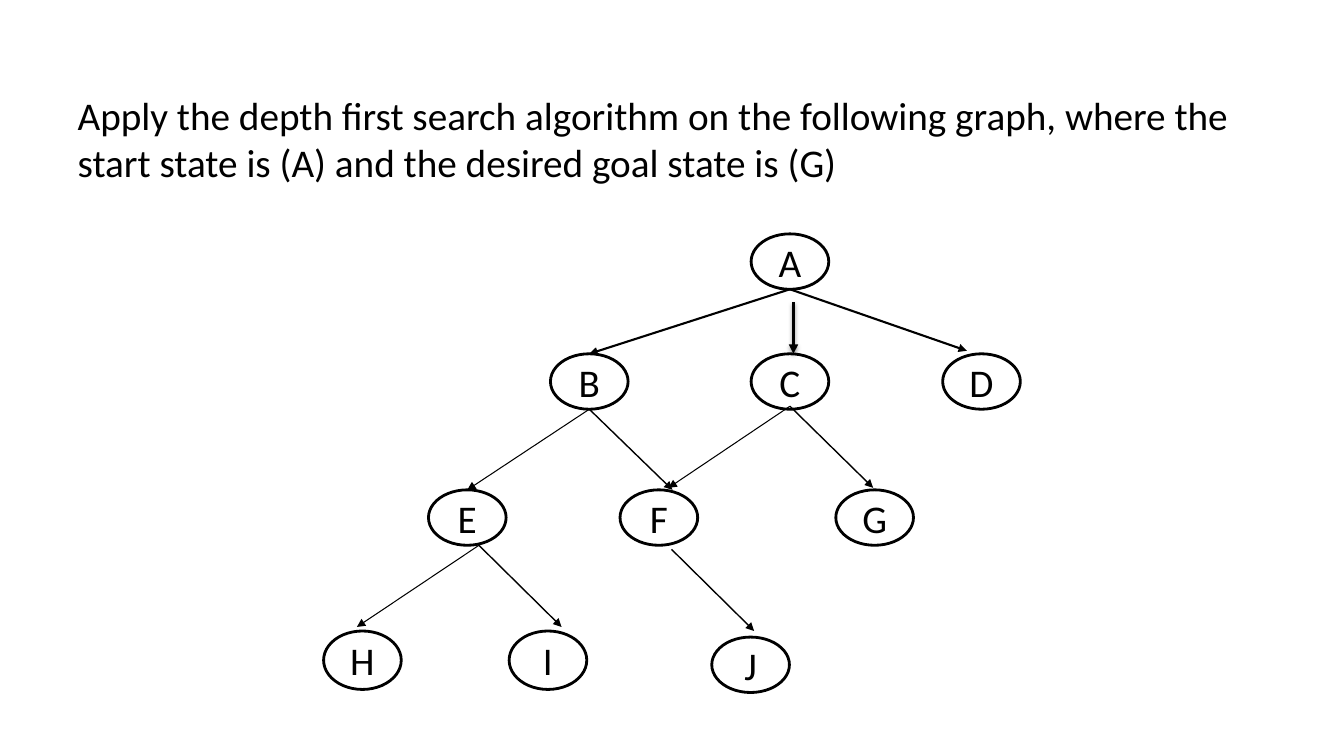
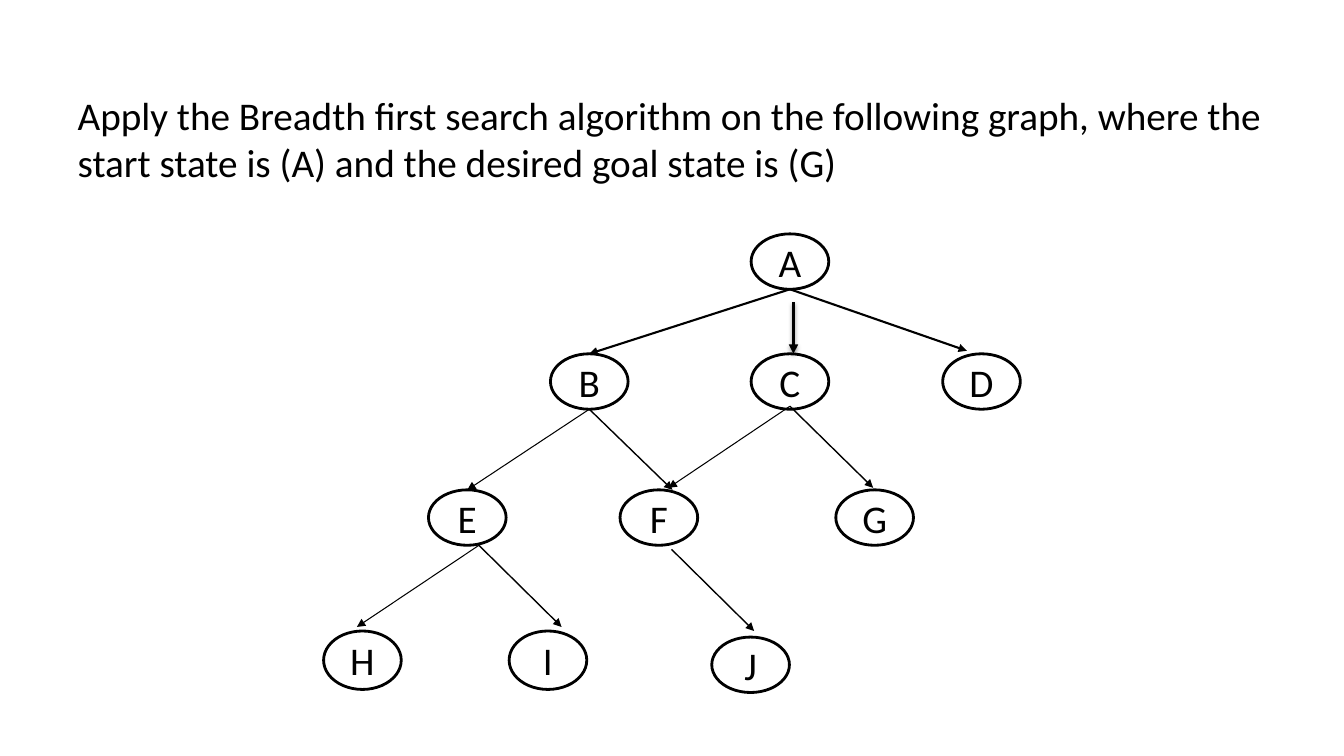
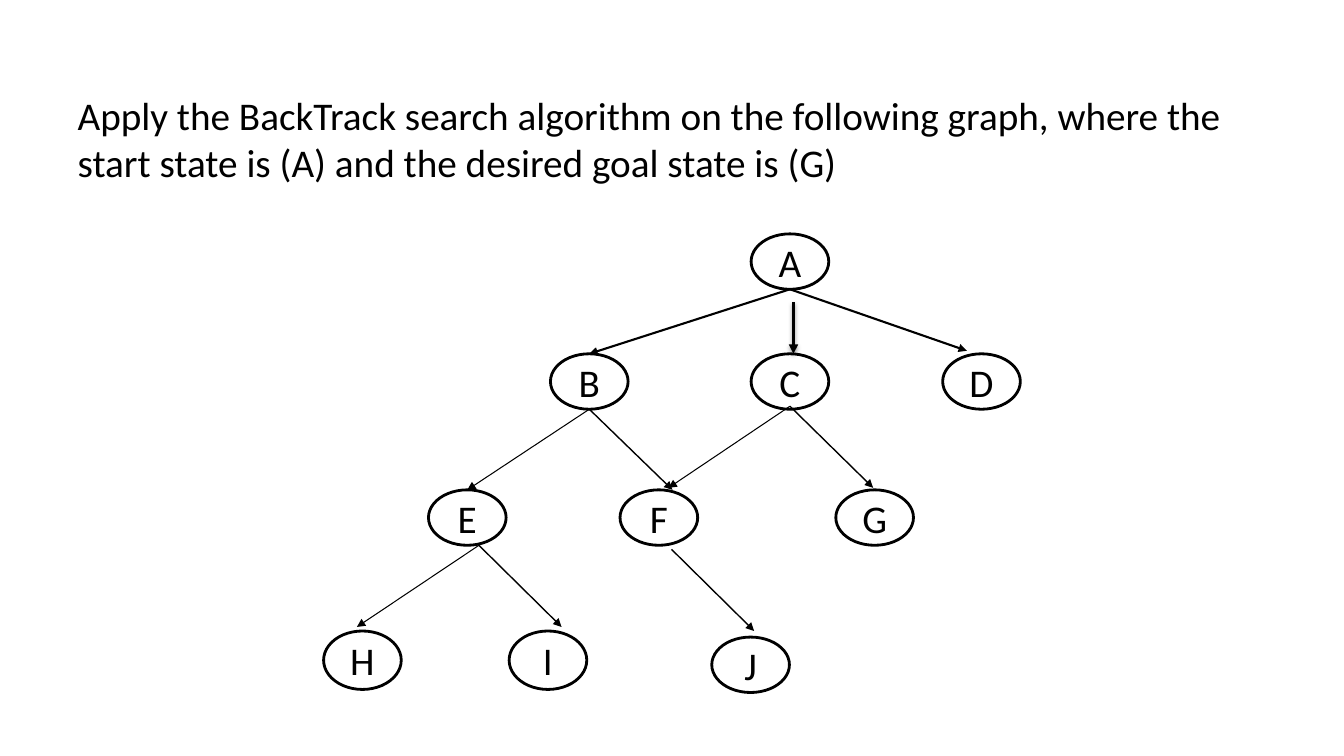
from collections import namedtuple

from lxml import etree
from pptx import Presentation
from pptx import util as u
from pptx.dml.color import RGBColor
from pptx.enum import shapes, text
from pptx.oxml.ns import qn

BLACK = RGBColor(0x00, 0x00, 0x00)
WHITE = RGBColor(0xFF, 0xFF, 0xFF)
FONT = "Calibri"
TEXT_SIZE = u.Pt(28)
TITLE_ONLY = 5

Box = namedtuple("Box", "left top width height")
QUESTION_BOX = Box(0.67, 0.86, 12.27, 1.04)
GRAPH_BOX = Box(3.2, 2.3, 7, 4.6)

QUESTION = ("Apply the {} search algorithm on the following graph, where the "
            "start state is (A) and the desired goal state is (G)")
ALGORITHMS = ["depth first", "Breadth first", "BackTrack"]

# The graph box is a grid; each state has a centre and a height in its cells.
COLUMNS, ROWS = 70, 46
STATE_WIDTH = 7.7
STATES = {
    "A": (46.35, 2.95, 5.5),
    "B": (26.45, 14.85, 5.5),
    "C": (46.35, 14.85, 5.5),
    "D": (65.35, 14.85, 5.5),
    "E": (14.35, 28.35, 5.5),
    "F": (33.35, 28.35, 5.5),
    "G": (54.75, 28.35, 5.5),
    "H": (3.95, 42.5, 5.8),
    "J": (42.45, 42.95, 5.5),
    "I": (22.35, 42.5, 5.8),
}

# Parent, child, width in points, then the shifts in cells from the parent's
# bottom middle and from the child's top middle.
EDGES = [
    ("A", "C", 2.25, (0.35, 1.3), (0.35, 0)),
    ("A", "B", 1.5, (0, 0), (0, 0)),
    ("A", "D", 1.5, (0, 0), (-1.45, -0.3)),
    ("B", "E", 0.75, (0, 0), (0, 0)),
    ("B", "F", 1, (0, 0), (1.35, 0)),
    ("C", "F", 0.75, (0, -0.3), (0.95, -0.2)),
    ("C", "G", 1, (0, -0.3), (-0.15, -0.2)),
    ("E", "H", 0.75, (1.15, 0), (-0.55, -0.4)),
    ("E", "I", 1, (1.15, 0), (1.35, -0.4)),
    ("F", "J", 1, (1.25, 0.4), (0.35, -0.6)),
]
SHADOWED_EDGE = ("A", "C")


def format_text(frame, align, anchor):
    frame.vertical_anchor = anchor
    for paragraph in frame.paragraphs:
        paragraph.alignment = align
        for run in paragraph.runs:
            run.font.name = FONT
            run.font.size = TEXT_SIZE
            run.font.color.rgb = BLACK


def place_question(slide, box, algorithm):
    question = slide.shapes.title
    question.left, question.top, question.width, question.height = map(u.Inches, box)
    frame = question.text_frame
    frame.text = QUESTION.format(algorithm)
    frame.word_wrap = True
    frame.auto_size = text.MSO_AUTO_SIZE.NONE
    format_text(frame, text.PP_ALIGN.LEFT, text.MSO_ANCHOR.TOP)


def add_state(group, letter, left, top, width, height):
    state = group.shapes.add_shape(shapes.MSO_SHAPE.OVAL, left, top, width, height)
    state.shadow.inherit = False
    state.fill.solid()
    state.fill.fore_color.rgb = WHITE
    state.line.color.rgb = BLACK
    state.line.width = u.Pt(2)
    state.text_frame.text = letter
    format_text(state.text_frame, text.PP_ALIGN.CENTER, text.MSO_ANCHOR.MIDDLE)
    return state


def add_arrow(group, start, end, width, shadowed):
    arrow = group.shapes.add_connector(shapes.MSO_CONNECTOR.STRAIGHT, *start, *end)
    arrow.line.color.rgb = BLACK
    arrow.line.width = u.Pt(width)
    etree.SubElement(arrow.line._get_or_add_ln(), qn("a:tailEnd"), type="triangle")
    effects = etree.SubElement(arrow._element.spPr, qn("a:effectLst"))
    if shadowed:
        shadow = etree.SubElement(effects, qn("a:outerShdw"), blurRad=str(u.Pt(3.1)),
                                  dist=str(u.Pt(1.6)), dir="5400000", rotWithShape="0")
        colour = etree.SubElement(shadow, qn("a:srgbClr"), val=str(BLACK))
        etree.SubElement(colour, qn("a:alpha"), val="38000")
    return arrow


def place_graph(slide, box):
    """Draw the states and then the arrows between them, on the grid of the box."""
    cell_width, cell_height = box.width / COLUMNS, box.height / ROWS

    def point(column, row):
        return (u.Inches(box.left + column * cell_width),
                u.Inches(box.top + row * cell_height))

    group = slide.shapes.add_group_shape()
    states = {}
    for letter, (column, row, height) in STATES.items():
        corner = point(column - STATE_WIDTH / 2, row - height / 2)
        states[letter] = add_state(group, letter, *corner,
                                   u.Inches(STATE_WIDTH * cell_width),
                                   u.Inches(height * cell_height))

    for parent, child, width, start_shift, end_shift in EDGES:
        column, row, height = STATES[parent]
        start = point(column + start_shift[0], row + height / 2 + start_shift[1])
        column, row, height = STATES[child]
        end = point(column + end_shift[0], row - height / 2 + end_shift[1])
        arrow = add_arrow(group, start, end, width, (parent, child) == SHADOWED_EDGE)
        if end_shift == (0, 0):
            arrow.end_connect(states[child], 0)


def main():
    deck = Presentation()
    deck.slide_width, deck.slide_height = u.Inches(13.33), u.Inches(7.5)
    for algorithm in ALGORITHMS:
        slide = deck.slides.add_slide(deck.slide_layouts[TITLE_ONLY])
        place_question(slide, QUESTION_BOX, algorithm)
        place_graph(slide, GRAPH_BOX)
    deck.save("out.pptx")


if __name__ == "__main__":
    main()
